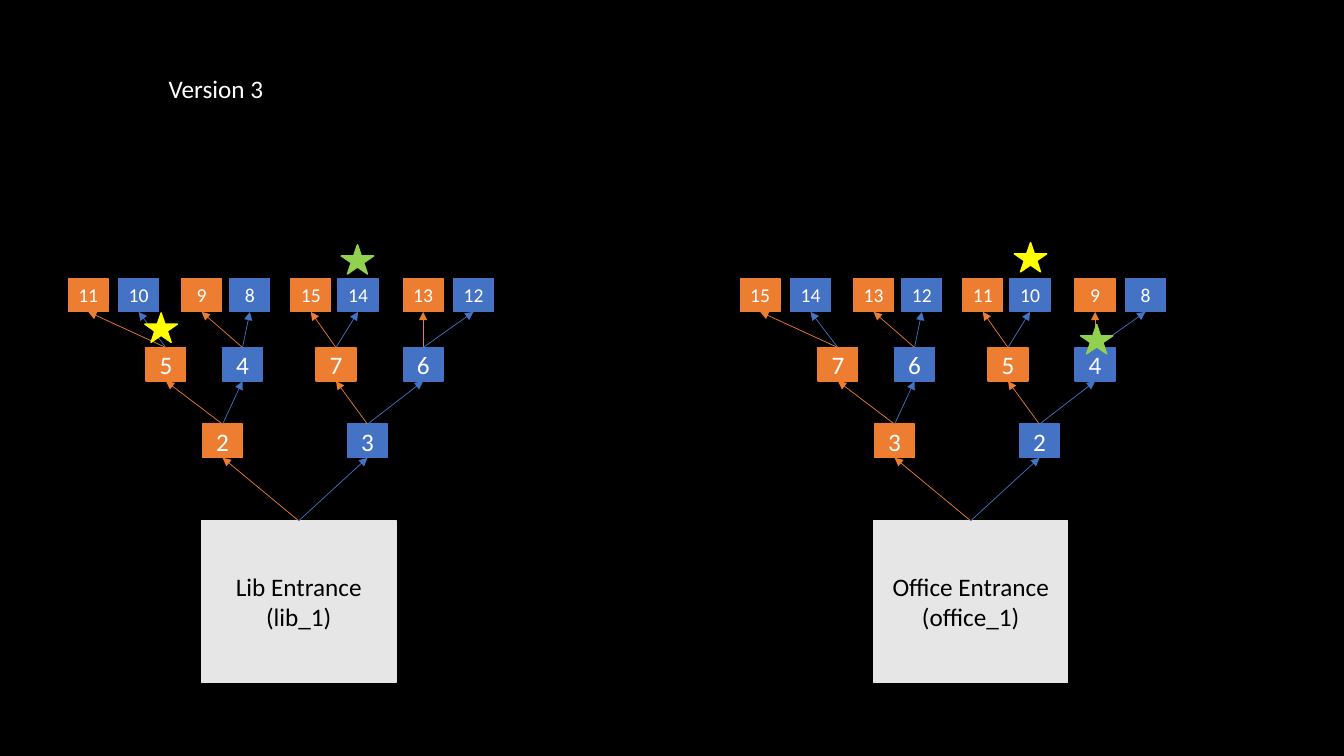
from pptx import Presentation
from pptx.dml.color import RGBColor
from pptx.enum.shapes import MSO_CONNECTOR, MSO_SHAPE
from pptx.enum.text import MSO_ANCHOR, MSO_AUTO_SIZE, PP_ALIGN
from pptx.oxml.ns import qn
from pptx.util import Emu, Pt
from lxml.etree import SubElement

PX = 9525
COLORS = {
    "black": "000000",
    "white": "FFFFFF",
    "orange": "ED7D31",
    "blue": "4472C4",
    "gray": "E7E6E6",
    "green": "92D050",
    "yellow": "FFFF00",
}
TOP, BOTTOM = 0, 2
NODE_WIDTH, NODE_HEIGHT = 38, 32
OFFICE_OFFSET = 640
LEVELS = [
    (404, 18, [212, 350]),
    (331, 18, [158, 231, 320, 403]),
    (265, 14, [84, 132, 192, 238, 296, 341, 403, 451]),
]


def px(length):
    """Turn pixels into EMU."""
    return Emu(length * PX)


def color(name):
    """Look up a named colour."""
    return RGBColor.from_string(COLORS[name])


def set_text(shape, text, size, color_name, alignment):
    """Write one formatted paragraph into a shape."""
    shape.text_frame.word_wrap = True
    paragraph = shape.text_frame.paragraphs[0]
    paragraph.text = text
    paragraph.alignment = alignment
    paragraph.font.name = "Calibri"
    paragraph.font.size = Pt(size)
    paragraph.font.color.rgb = color(color_name)


def add_filled(slide, preset, left, top, width, height, fill):
    """Add a preset shape whose line matches its fill."""
    shape = slide.shapes.add_shape(preset, px(left), px(top), px(width), px(height))
    shape.shadow.inherit = False
    shape.fill.solid()
    shape.fill.fore_color.rgb = color(fill)
    shape.line.color.rgb = color(fill)
    shape.line.width = Pt(1)
    return shape


def add_box(slide, left, top, width, height, fill, text, size, text_color):
    """Add a rectangle with centred text."""
    box = add_filled(slide, MSO_SHAPE.RECTANGLE, left, top, width, height, fill)
    frame = box.text_frame
    frame.margin_left = frame.margin_right = 0
    frame.vertical_anchor = MSO_ANCHOR.MIDDLE
    set_text(box, text, size, text_color, PP_ALIGN.CENTER)
    return box


def add_arrow(slide, parent, child, color_name):
    """Connect the top of a parent to the bottom of its child."""
    arrow = slide.shapes.add_connector(MSO_CONNECTOR.STRAIGHT, 0, 0, 0, 0)
    arrow.begin_connect(parent, TOP)
    arrow.end_connect(child, BOTTOM)
    arrow.line.color.rgb = color(color_name)
    arrow.line.width = Pt(0.5)
    SubElement(arrow.line._get_or_add_ln(), qn("a:tailEnd"), type="triangle")
    SubElement(arrow._element.spPr, qn("a:effectLst"))


def add_tree(slide, offset, entrance_text, numbers):
    """Grow a binary tree of numbered nodes above an entrance."""
    parents = [add_box(slide, offset + 192, 496, 185, 154, "gray",
                       entrance_text, 18, "black")]
    for top, size, centers in LEVELS:
        nodes = []
        for index, (center, number) in enumerate(zip(centers, numbers)):
            fill = ("orange", "blue")[index % 2]
            node = add_box(slide, offset + center - NODE_WIDTH // 2, top, NODE_WIDTH,
                           NODE_HEIGHT, fill, str(number), size, "white")
            add_arrow(slide, parents[index // 2], node, fill)
            nodes.append(node)
        parents = nodes
        numbers = [child for number in numbers for child in (2 * number + 1, 2 * number)]


def add_star(slide, left, top, fill):
    """Add a small five-pointed marker."""
    add_filled(slide, MSO_SHAPE.STAR_5_POINT, left, top, 31, 28, fill)


def add_title(slide, text):
    """Place the title at the upper left."""
    title = slide.shapes.title
    title.left, title.top, title.width, title.height = px(151), px(65), px(133), px(38)
    set_text(title, text, 18, "white", PP_ALIGN.LEFT)
    title.text_frame.vertical_anchor = MSO_ANCHOR.TOP
    title.text_frame.auto_size = MSO_AUTO_SIZE.SHAPE_TO_FIT_TEXT


def main():
    """Build and save the slide."""
    presentation = Presentation()
    presentation.slide_width, presentation.slide_height = px(1280), px(720)
    slide = presentation.slides.add_slide(presentation.slide_layouts[5])
    slide.background.fill.solid()
    slide.background.fill.fore_color.rgb = color("black")
    add_title(slide, "Version 3")
    add_tree(slide, 0, "Lib Entrance (lib_1)", [2, 3])
    add_tree(slide, OFFICE_OFFSET, "Office Entrance (office_1)", [3, 2])
    add_star(slide, 325, 233, "green")
    add_star(slide, 138, 298, "yellow")
    add_star(slide, OFFICE_OFFSET + 326, 231, "yellow")
    add_star(slide, OFFICE_OFFSET + 389, 309, "green")
    presentation.save("out.pptx")


if __name__ == "__main__":
    main()
